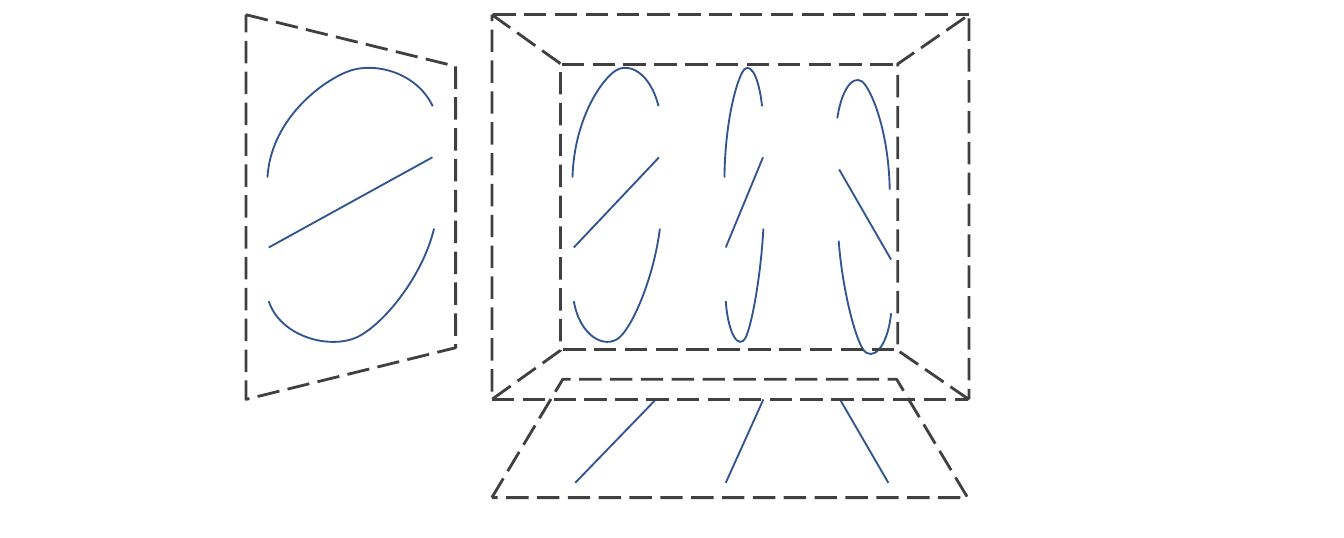
from pptx import Presentation
from pptx import util as u
from pptx.dml.color import RGBColor
from pptx.enum import dml, shapes
from pptx.oxml import ns
from lxml import etree

BLUE = RGBColor(0x32, 0x54, 0x91)
GRAY = RGBColor(0x40, 0x40, 0x40)
COLUMNS, ROWS = 10, 4
EXTENT_STEPS = 40

ARC = [(0, 1.32), (0.02, 0.91), (0.3, 0.63), (0.47, 0.54),
       (0.63, 0.45), (0.9, 0.53), (1, 0.79)]
BOWL = [(0, 2.24), (0.07, 2.5), (0.36, 2.6), (0.53, 2.51),
        (0.69, 2.42), (0.93, 2.06), (1, 1.7)]
BAR = [(0, 1.84), (0.99, 1.17)]
BAR_SHIFT = 0.01

VIEWS = [
    {"start": 1.99, "width": 1.23, "drop": 0},
    {"start": 4.26, "width": 0.64, "drop": 0},
    {"start": 5.39, "width": 0.28, "drop": 0},
    {"start": 6.62, "width": -0.39, "drop": 0.09},
]

FLOOR_LINES = [(4.28, 4.88), (5.4, 5.68), (6.61, 6.25)]
FLOOR_NEAR, FLOOR_FAR = 3.59, 2.97

PANELS = [
    {"frame": (3.66, 2.82, 3.54, 0.88), "rotation": 0, "slant": 0.6},
    {"frame": (1.83, 0.11, 1.56, 2.86), "rotation": 90, "slant": 0.246},
    {"frame": (6.68, 0.11, 0.53, 2.86), "rotation": 270, "slant": 0.689},
    {"frame": (3.66, 0.11, 0.51, 2.86), "rotation": 90, "slant": 0.714},
]

ROOM_EDGES = [(4.18, 6.68, 0.48), (4.19, 6.69, 2.6),
              (3.67, 7.21, 0.11), (3.66, 7.2, 2.97)]

presentation = Presentation()
presentation.slide_width, presentation.slide_height = u.Inches(10), u.Inches(4)
slide = presentation.slides.add_slide(presentation.slide_layouts[6])
drawing = slide.shapes.add_group_shape().shapes
column = presentation.slide_width / COLUMNS
row = presentation.slide_height / ROWS


def place(x, y):
    return round(x * column), round(y * row)


def style_line(shape, color, width, dash=None):
    shape.line.color.rgb = color
    shape.line.width = u.Pt(width)
    if dash:
        shape.line.dash_style = dash


def add_line(start, end, *style):
    connector = drawing.add_connector(
        shapes.MSO_CONNECTOR.STRAIGHT, *place(*start), *place(*end))
    style_line(connector, *style)
    etree.SubElement(connector._element.spPr, ns.qn("a:effectLst"))


def bezier(knots, t):
    weights = ((1 - t) ** 3, 3 * t * (1 - t) ** 2, 3 * t ** 2 * (1 - t), t ** 3)
    return tuple(sum(w * knot[axis] for w, knot in zip(weights, knots))
                 for axis in (0, 1))


def add_curve(knots):
    outline = [bezier(knots[first:first + 4], step / EXTENT_STEPS)
               for first in (0, 3) for step in range(EXTENT_STEPS + 1)]
    xs, ys = zip(*outline)
    builder = drawing.build_freeform(*place(min(xs), min(ys)))
    builder.add_line_segments([place(max(xs), max(ys))], close=False)
    curve = builder.convert_to_shape()
    curve.fill.background()
    curve.shadow.inherit = False
    style_line(curve, BLUE, 1)

    contour = next(curve._element.iter(ns.qn("a:path")))
    for child in list(contour):
        contour.remove(child)
    for tag, points in (("a:moveTo", knots[:1]), ("a:cubicBezTo", knots[1:4]),
                        ("a:cubicBezTo", knots[4:])):
        segment = etree.SubElement(contour, ns.qn(tag))
        for point in points:
            x, y = place(*point)
            etree.SubElement(segment, ns.qn("a:pt"),
                             x=str(x - curve.left), y=str(y - curve.top))


def add_panel(frame, rotation, slant):
    left, top, width, height = frame
    center_x, center_y = left + width / 2, top + height / 2
    if rotation:
        width, height = height, width
    panel = drawing.add_shape(
        shapes.MSO_SHAPE.TRAPEZOID,
        *place(center_x - width / 2, center_y - height / 2),
        *place(width, height))
    panel.adjustments[0] = slant
    panel.rotation = rotation
    panel.fill.background()
    panel.shadow.inherit = False
    style_line(panel, GRAY, 1.5, dml.MSO_LINE.LONG_DASH)


def project(view, knots, shift=0):
    return [(view["start"] + shift + share * view["width"], y + view["drop"])
            for share, y in knots]


for view in VIEWS:
    add_line(*project(view, BAR, BAR_SHIFT), BLUE, 1)
    add_curve(project(view, ARC))
    add_curve(project(view, BOWL, BAR_SHIFT))

for near, far in FLOOR_LINES:
    add_line((near, FLOOR_NEAR), (far, FLOOR_FAR), BLUE, 1)

for panel in PANELS:
    add_panel(**panel)

for left, right, y in ROOM_EDGES:
    add_line((left, y), (right, y), GRAY, 1.5, dml.MSO_LINE.LONG_DASH)

presentation.save("out.pptx")
